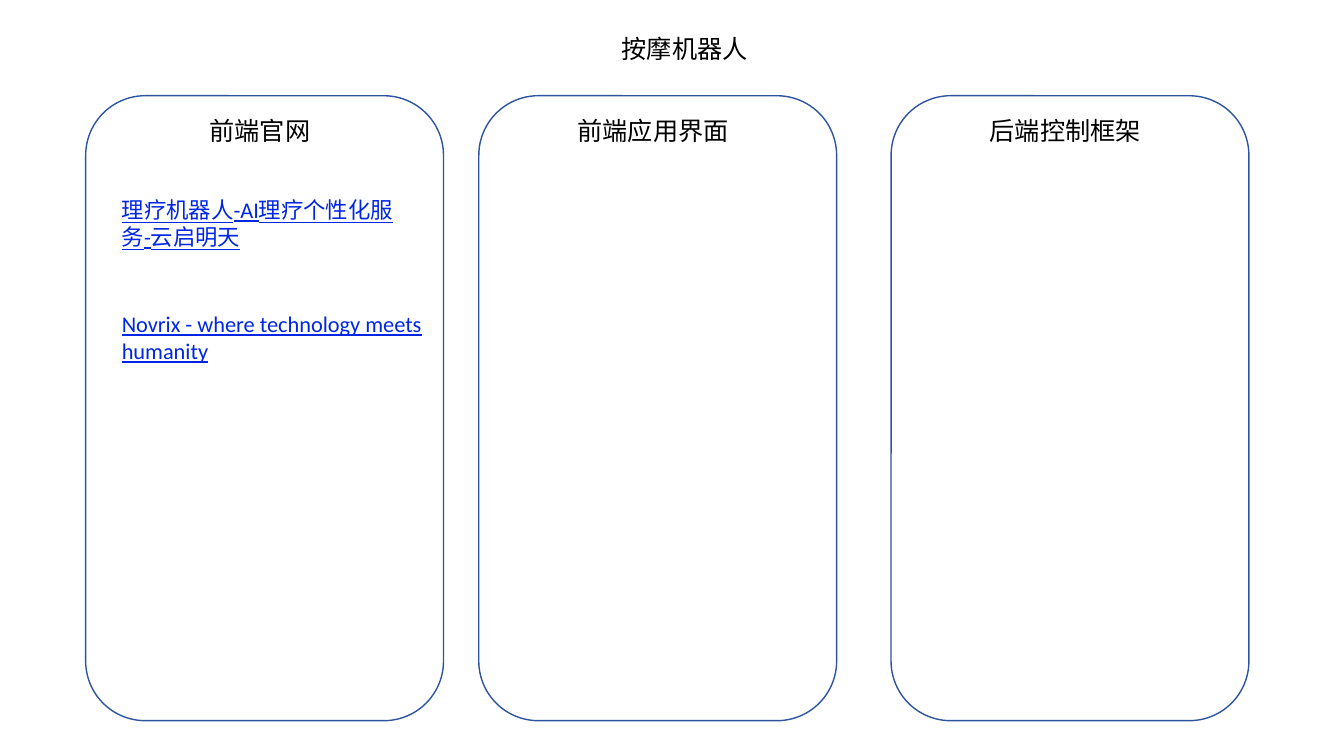
from pptx import Presentation
from pptx.dml.color import RGBColor
from pptx.enum.shapes import MSO_SHAPE
from pptx.enum.text import MSO_AUTO_SIZE
from pptx.util import Pt

BLACK = RGBColor(0x00, 0x00, 0x00)
OUTLINE_BLUE = RGBColor(0x2E, 0x54, 0xA1)
LINK_BLUE = RGBColor(0x00, 0x26, 0xE5)

presentation = Presentation()
presentation.slide_width = Pt(960)
presentation.slide_height = Pt(540)
slide = presentation.slides.add_slide(presentation.slide_layouts[6])


def add_text(text, left, top, width, height, size=18, color=BLACK, underline=None):
    box = slide.shapes.add_textbox(Pt(left), Pt(top), Pt(width), Pt(height))
    frame = box.text_frame
    frame.word_wrap = True
    frame.auto_size = MSO_AUTO_SIZE.SHAPE_TO_FIT_TEXT
    paragraph = frame.paragraphs[0]
    paragraph.text = text
    font = paragraph.font
    font.name = "Calibri"
    font.size = Pt(size)
    font.color.rgb = color
    font.underline = underline


add_text("按摩机器人", 437, 20.2, 320, 29)

# Heading, panel left, heading left, heading width
panels = [
    ("前端官网", 61.2, 142.6, 108.7),
    ("前端应用界面", 342, 405.4, 128.9),
    ("后端控制框架", 636.5, 699.8, 128.9),
]
for heading, panel_left, heading_left, heading_width in panels:
    panel = slide.shapes.add_shape(
        MSO_SHAPE.ROUNDED_RECTANGLE, Pt(panel_left), Pt(68.4), Pt(255.6), Pt(446.4)
    )
    panel.shadow.inherit = False
    panel.fill.background()
    panel.line.color.rgb = OUTLINE_BLUE
    panel.line.width = Pt(1)
    add_text(heading, heading_left, 78.5, heading_width, 29)

site_titles = [
    ("理疗机器人-AI理疗个性化服务-云启明天", 136.8, 212.4),
    ("Novrix - where technology meets humanity", 218.2, 270.7),
]
for title, top, width in site_titles:
    add_text(title, 79.9, top, width, 46, size=16, color=LINK_BLUE, underline=True)

presentation.save("out.pptx")
